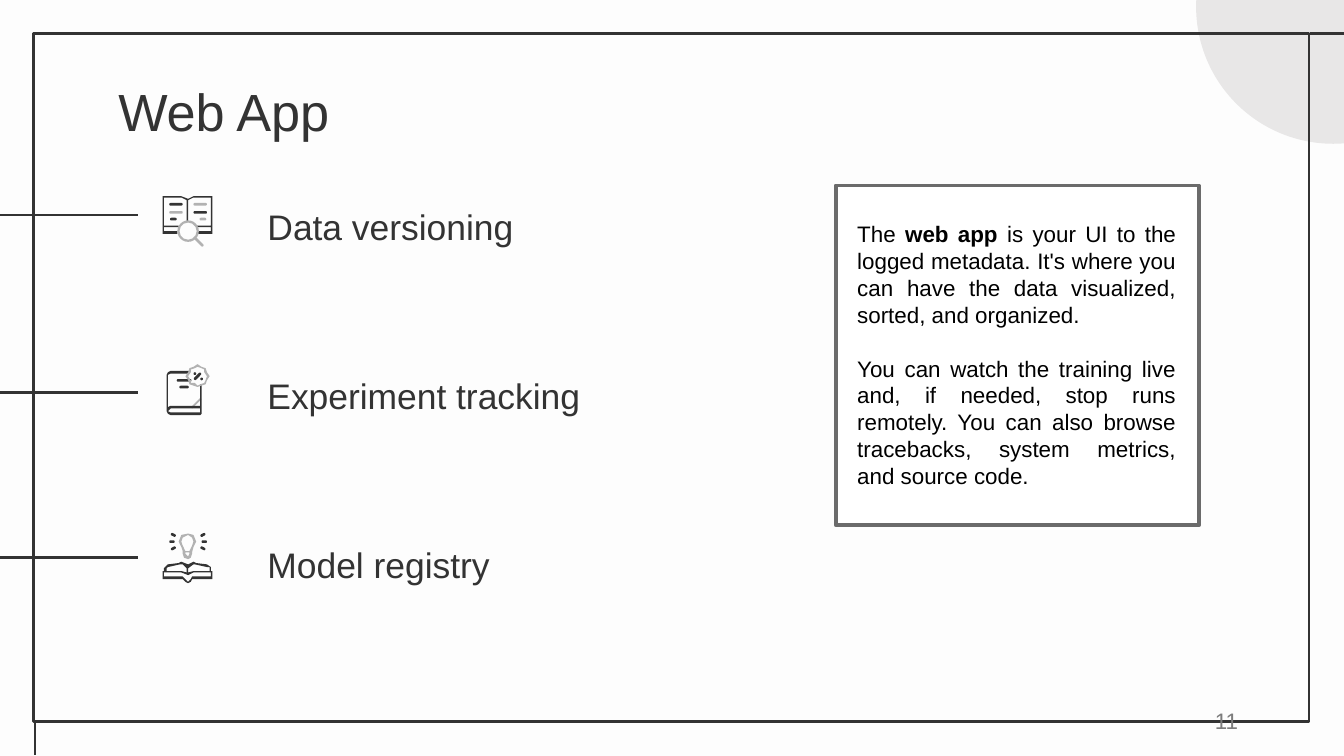
from dataclasses import dataclass

from lxml import etree
from pptx import Presentation
from pptx.dml.color import RGBColor
from pptx.enum.shapes import MSO_CONNECTOR, MSO_SHAPE
from pptx.enum.text import MSO_ANCHOR, MSO_AUTO_SIZE, PP_ALIGN
from pptx.oxml.ns import qn
from pptx.util import Inches, Pt

RECT, OVAL, DONUT = MSO_SHAPE.RECTANGLE, MSO_SHAPE.OVAL, MSO_SHAPE.DONUT
ROUND = MSO_SHAPE.ROUNDED_RECTANGLE
LEFT, RIGHT, JUSTIFY = PP_ALIGN.LEFT, PP_ALIGN.RIGHT, PP_ALIGN.JUSTIFY
TOP, MIDDLE, BOTTOM = MSO_ANCHOR.TOP, MSO_ANCHOR.MIDDLE, MSO_ANCHOR.BOTTOM
STRAIGHT = MSO_CONNECTOR.STRAIGHT
COMPARISON = 4  # layout with a title and four bodies


@dataclass(frozen=True)
class Theme:
    font: str = "Arial"
    paper: str = "FDFDFD"
    ink: str = "333333"
    accent: str = "B2B2B2"
    circle: str = "E8E7E7"
    panel: str = "FFFFFF"
    border: str = "6B6B6B"
    text: str = "000000"
    number: str = "7C7C7C"
    title_size: int = 28
    item_size: int = 19
    text_size: int = 12


T = Theme()
ITEMS = ["Data versioning", "Experiment tracking", "Model registry"]
NOTES = [
    [("The ", False), ("web app ", True),
     ("is your UI to the logged metadata. It's where you can have the data "
      "visualized, sorted, and organized.", False)],
    [("You can watch the training live and, if needed, stop runs remotely. "
      "You can also browse tracebacks, system metrics, and source code.", False)],
]

# Icon outlines, in hundredths of an inch: first the outer edge, then the holes
OPEN_BOOK = [
    [(135, 418), (133, 419), (125, 420), (122, 423), (122, 425), (121, 425),
     (121, 431), (136, 431), (138, 433), (140, 434), (142, 433), (143, 431),
     (158, 431), (158, 425), (157, 425), (157, 422), (154, 420), (146, 419),
     (144, 418), (140, 420)],
    [(136, 420), (139, 423), (139, 426), (135, 425), (124, 425), (124, 423),
     (125, 422), (134, 420)],
    [(144, 420), (140, 423), (140, 426), (144, 425), (156, 425), (156, 422),
     (154, 422), (145, 420)],
    [(157, 426), (157, 429), (143, 429), (142, 431), (140, 433), (138, 431),
     (136, 429), (122, 429), (122, 426), (135, 426), (140, 428), (144, 426)],
]
BULB = [
    [(140, 397), (135, 398), (133, 403), (135, 407), (136, 410), (136, 412),
     (137, 415), (140, 416), (142, 415), (143, 412), (143, 411), (144, 407),
     (146, 403), (144, 398)],
    [(140, 398), (143, 400), (144, 403), (143, 406), (141, 410), (138, 410),
     (136, 406), (135, 403), (136, 400)],
    [(141, 411), (141, 412), (140, 414), (138, 412), (138, 411)],
]
CLOSED_BOOK = [
    [(127, 276), (125, 277), (124, 279), (124, 306), (125, 308), (127, 309),
     (149, 309), (150, 308), (150, 286), (149, 286), (149, 302), (127, 302),
     (125, 303), (125, 279), (127, 278), (141, 278), (141, 276)],
    [(149, 304), (149, 307), (127, 307), (125, 306), (127, 304)],
]
PAGE_FOLD = [[(149, 296), (142, 303), (143, 304), (150, 297)]]
BADGE = [
    [(147, 271), (144, 273), (141, 274), (140, 277), (138, 280), (140, 283),
     (141, 286), (144, 287), (147, 288), (150, 287), (153, 286), (154, 283),
     (156, 280), (154, 277), (153, 274), (150, 273)],
    [(147, 273), (145, 274), (142, 275), (142, 277), (140, 280), (142, 283),
     (142, 285), (145, 285), (147, 287), (149, 286), (152, 285), (153, 283),
     (154, 280), (152, 277), (152, 275), (150, 274)],
]
READING_BOOK = [
    [(121, 146), (121, 174), (132, 174), (132, 172), (122, 172), (122, 169),
     (133, 169), (133, 168), (122, 168), (122, 147), (135, 147), (139, 149),
     (139, 165), (140, 165), (140, 149), (144, 147), (157, 147), (157, 168),
     (146, 168), (146, 169), (157, 169), (157, 172), (147, 172), (147, 174),
     (158, 174), (158, 146), (144, 146), (140, 148), (135, 146)],
]


def rgb(color):
    return RGBColor.from_string(color)


def add_shape(shapes, kind, x, y, w, h, fill=None, line=None, width=1.5):
    sp = shapes.add_shape(kind, Inches(x), Inches(y), Inches(w), Inches(h))
    return paint(sp, fill, line, width)


def paint(sp, fill, line=None, width=1.5):
    sp.shadow.inherit = False
    if fill:
        sp.fill.solid()
        sp.fill.fore_color.rgb = rgb(fill)
    else:
        sp.fill.background()
    if line:
        sp.line.color.rgb = rgb(line)
        sp.line.width = Pt(width)
    else:
        sp.line.fill.background()
    return sp


def add_line(shapes, x1, y1, x2, y2):
    cxn = shapes.add_connector(STRAIGHT, Inches(x1), Inches(y1), Inches(x2), Inches(y2))
    cxn.line.color.rgb = rgb(T.ink)
    cxn.line.width = Pt(1.5)
    etree.SubElement(cxn._element.spPr, qn("a:effectLst"))


def add_outline(shapes, contours, color):
    first, *holes = contours
    builder = shapes.build_freeform(*first[0], scale=Inches(0.01))
    builder.add_line_segments(first[1:], close=True)
    for hole in holes:
        builder.move_to(*hole[0])
        builder.add_line_segments(hole[1:], close=True)
    paint(builder.convert_to_shape(), color)


def add_bar(shapes, cx, cy, length, color=T.ink, angle=0):
    """Thin round-ended stroke about a centre point."""
    sp = add_shape(shapes, ROUND, cx - length / 2, cy - 0.01, length, 0.02, color)
    sp.adjustments[0] = 0.5
    sp.rotation = angle


def format_run(r, size, color, bold=False):
    r.font.name, r.font.size, r.font.bold = T.font, Pt(size), bold
    r.font.color.rgb = rgb(color)


def set_frame(sp, anchor, inset_y):
    tf = sp.text_frame
    tf.word_wrap, tf.auto_size, tf.vertical_anchor = True, MSO_AUTO_SIZE.NONE, anchor
    tf.margin_left = tf.margin_right = Inches(0.1)
    tf.margin_top = tf.margin_bottom = Inches(inset_y)
    return tf


def fill_placeholder(sp, text, x, y, w, h, size, anchor, spacing=1.0):
    sp.left, sp.top, sp.width, sp.height = Inches(x), Inches(y), Inches(w), Inches(h)
    tf = set_frame(sp, anchor, 0.1)
    tf.text = text
    p = tf.paragraphs[0]
    pPr = p._p.get_or_add_pPr()
    pPr.set("marL", "0")
    pPr.set("indent", "0")
    etree.SubElement(pPr, qn("a:buNone"))
    p.alignment, p.line_spacing, p.space_before = LEFT, spacing, Pt(0)
    format_run(p.runs[0], size, T.ink)


def add_text(shapes, paragraphs, x, y, w, h, align, color, anchor=TOP):
    sp = shapes.add_textbox(Inches(x), Inches(y), Inches(w), Inches(h))
    tf = set_frame(sp, anchor, 0.05)
    for i, runs in enumerate(paragraphs):
        p = tf.add_paragraph() if i else tf.paragraphs[0]
        p.alignment = align
        if i:
            p.space_before = Pt(14.4)
        for text, bold in runs:
            r = p.add_run()
            r.text = text
            format_run(r, T.text_size, color, bold)


def add_frame(shapes):
    add_shape(shapes, OVAL, 8.9, -0.97, 2.04, 2.04, T.circle)
    for y in (1.6, 2.92, 4.15):
        add_line(shapes, 0, y, 1.03, y)
    group = shapes.add_group_shape().shapes
    add_shape(group, RECT, 0.25, 0.25, 9.49, 5.12, line=T.ink)
    add_line(group, 10, 0.25, 9.75, 0.25)
    add_line(group, 0.26, 5.38, 0.26, 5.62)


def add_versioning_icon(shapes):
    add_outline(shapes, READING_BOOK, T.ink)
    for x, y, length, color in [
        (1.31, 1.52, 0.1, T.ink), (1.49, 1.52, 0.1, T.accent),
        (1.31, 1.58, 0.1, T.accent), (1.49, 1.58, 0.1, T.ink),
        (1.29, 1.63, 0.05, T.ink), (1.51, 1.63, 0.05, T.accent),
    ]:
        add_bar(shapes, x, y, length, color)
    lens = add_shape(shapes, DONUT, 1.32, 1.64, 0.16, 0.16, T.accent)
    lens.adjustments[0] = 0.1
    add_bar(shapes, 1.48, 1.8, 0.09, T.accent, 45)


def add_tracking_icon(shapes):
    add_outline(shapes, PAGE_FOLD, T.accent)
    add_outline(shapes, CLOSED_BOOK, T.ink)
    add_bar(shapes, 1.37, 2.83, 0.11)
    add_bar(shapes, 1.37, 2.88, 0.07)
    add_outline(shapes, BADGE, T.accent)
    add_bar(shapes, 1.47, 2.8, 0.07, angle=-45)
    for x, y in ((1.44, 2.77), (1.49, 2.81)):
        add_shape(shapes, OVAL, x, y, 0.02, 0.02, T.ink)


def add_registry_icon(shapes):
    add_outline(shapes, OPEN_BOOK, T.ink)
    for side in (-1, 1):
        for dx, y, angle in ((0.11, 3.98, -27), (0.12, 4.03, 0), (0.11, 4.08, 27)):
            add_bar(shapes, 1.4 + side * dx, y, 0.04, angle=side * angle)
    add_outline(shapes, BULB, T.accent)


def main():
    prs = Presentation()
    prs.slide_width = Inches(10)
    prs.slide_height = prs.slide_width * 9 // 16
    slide = prs.slides.add_slide(prs.slide_layouts[COMPARISON])
    slide.background.fill.solid()
    slide.background.fill.fore_color.rgb = rgb(T.paper)
    shapes = slide.shapes
    title, *bodies = slide.placeholders

    # Title and list
    fill_placeholder(title, "Web App", 0.78, 0.49, 8.43, 0.63, T.title_size, TOP)
    for i, (sp, item) in enumerate(zip(bodies, ITEMS)):
        fill_placeholder(sp, item, 1.89, 1.36 + i * 1.26, 7.23, 0.58,
                         T.item_size, BOTTOM, 1.15)
    for sp in bodies[len(ITEMS):]:
        sp._element.getparent().remove(sp._element)

    # Frame and icons
    add_frame(shapes)
    for draw in (add_versioning_icon, add_tracking_icon, add_registry_icon):
        draw(shapes.add_group_shape().shapes)

    # Description panel and slide number
    add_shape(shapes, RECT, 6.22, 1.38, 2.7, 2.53, T.panel, T.border, 2)
    add_text(shapes, NOTES, 6.28, 1.59, 2.57, 2.12, JUSTIFY, T.text)
    add_text(shapes, [[("11", False)]], 7.06, 5.21, 2.25, 0.3, RIGHT, T.number, MIDDLE)
    prs.save("out.pptx")


if __name__ == "__main__":
    main()
